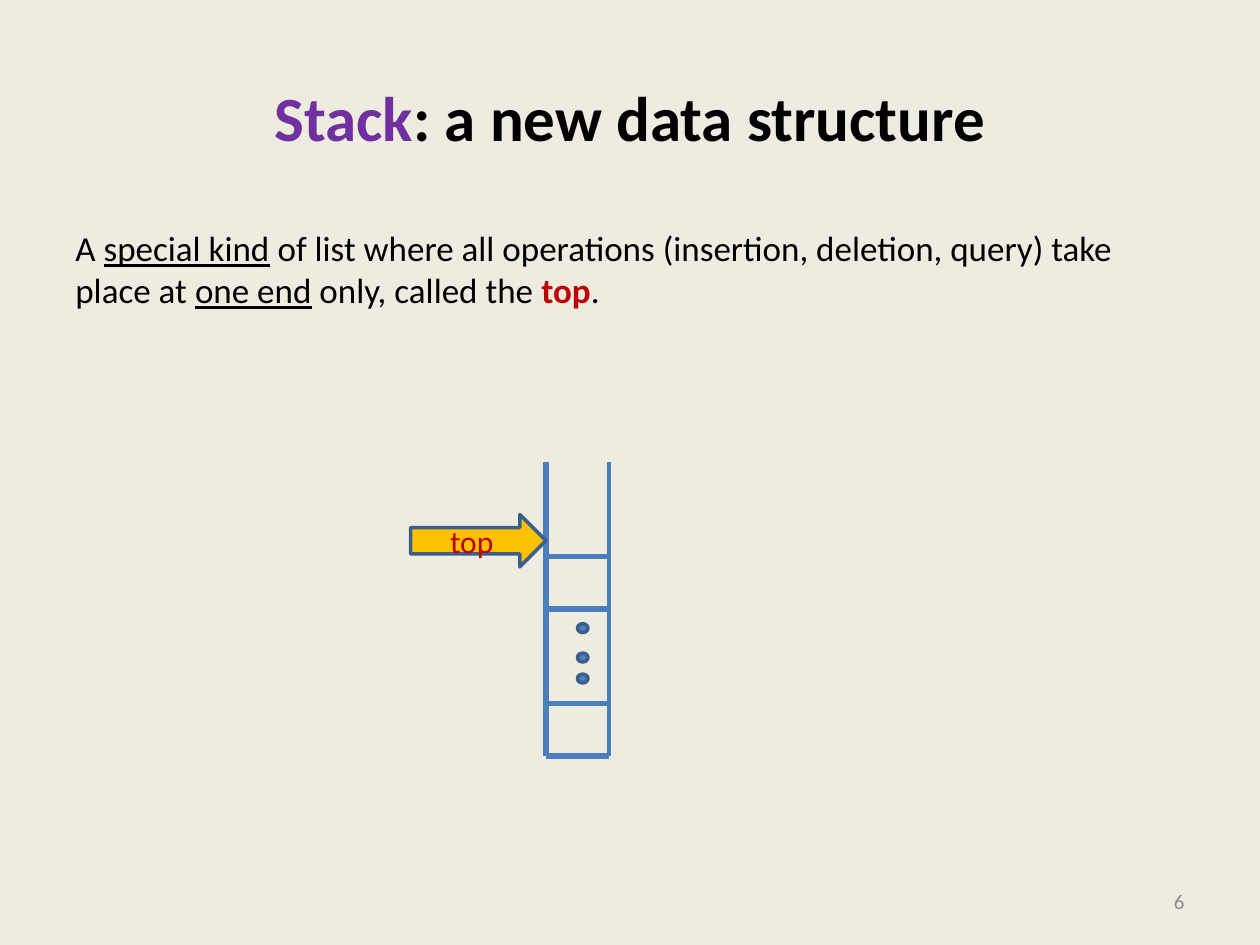
from dataclasses import dataclass
from typing import Any, NamedTuple

from lxml.etree import SubElement
from pptx import Presentation
from pptx.dml.color import RGBColor
from pptx.enum.shapes import MSO_CONNECTOR, MSO_SHAPE
from pptx.enum.text import MSO_ANCHOR, PP_ALIGN
from pptx.oxml.ns import qn
from pptx.util import Inches, Length, Pt


@dataclass(frozen=True)
class Theme:
    font: str = "Calibri"
    back: str = "EEECE1"
    ink: str = "000000"
    violet: str = "7030A0"
    red: str = "C00000"
    gray: str = "8C8C8C"
    rail: str = "4B7EBC"
    dot: str = "4F81BD"
    edge: str = "3A5F8C"
    gold: str = "FFC000"
    title: int = 36
    body: int = 20
    label: int = 18
    note: int = 12


class Run(NamedTuple):
    text: str
    color: str = ""
    bold: bool = False
    under: bool = False


class Box(NamedTuple):
    col: float
    row: float
    cols: float
    rows: float


class Bar(NamedTuple):
    col: float
    row: float
    to_col: float
    to_row: float
    width: float = 3


THEME = Theme()
CELL = 1 / 12  # the grid has 120 columns and 90 rows

LEFT, RIGHT, TOP, BASE = 52, 58, 44, 72
BARS = [
    Bar(LEFT, TOP, LEFT, BASE),
    Bar(RIGHT, TOP, RIGHT, BASE, 2.25),
    *(Bar(LEFT, row, RIGHT, row) for row in (BASE, 67, 53, 58)),
]
DOTS = [Box(55, row, 1, 0.85) for row in (59.4, 62.2, 64.2)]
ARROW = Box(39.1, 49, 12.9, 5)


def grid(count: float) -> Length:
    return Inches(count * CELL)


def place(shape: Any, box: Box) -> None:
    shape.left, shape.top, shape.width, shape.height = map(grid, box)


def write(shape: Any, *runs: Run, size: int, color: str = THEME.ink,
          align: Any = PP_ALIGN.LEFT, anchor: Any = MSO_ANCHOR.MIDDLE) -> None:
    frame = shape.text_frame
    frame.word_wrap = True
    frame.vertical_anchor = anchor
    para = frame.paragraphs[0]
    para.alignment = align
    for part in runs:
        run = para.add_run()
        run.text = part.text
        font = run.font
        font.name, font.size = THEME.font, Pt(size)
        font.bold, font.underline = part.bold, part.under
        font.color.rgb = RGBColor.from_string(part.color or color)


def add_text(shapes: Any, box: Box, *runs: Run, **style: Any) -> None:
    write(shapes.add_textbox(*map(grid, box)), *runs, **style)


def add_bar(shapes: Any, bar: Bar) -> None:
    line = shapes.add_connector(MSO_CONNECTOR.STRAIGHT, *map(grid, bar[:4]))
    line.line.color.rgb = RGBColor.from_string(THEME.rail)
    line.line.width = Pt(bar.width)
    SubElement(line._element.spPr, qn("a:effectLst"))


def add_form(shapes: Any, kind: Any, box: Box, fill: str) -> Any:
    form = shapes.add_shape(kind, *map(grid, box))
    form.shadow.inherit = False
    form.fill.solid()
    form.fill.fore_color.rgb = RGBColor.from_string(fill)
    form.line.color.rgb = RGBColor.from_string(THEME.edge)
    form.line.width = Pt(2)
    return form


def main() -> None:
    deck = Presentation()
    deck.slide_width, deck.slide_height = grid(120), grid(90)
    slide = deck.slides.add_slide(deck.slide_layouts[5])
    slide.background.fill.solid()
    slide.background.fill.fore_color.rgb = RGBColor.from_string(THEME.back)
    shapes = slide.shapes

    place(shapes.title, Box(6, 3.6, 108, 15))
    write(shapes.title, Run("Stack", THEME.violet, bold=True),
          Run(": a new data structure", bold=True),
          size=THEME.title, align=PP_ALIGN.CENTER)

    add_text(shapes, Box(6, 21, 108, 59.4),
             Run("A "), Run("special kind", under=True),
             Run(" of list where all operations (insertion, deletion, query)"
                 " take place at "),
             Run("one end", under=True), Run(" only, called the "),
             Run("top", THEME.red, bold=True), Run("."),
             size=THEME.body, anchor=MSO_ANCHOR.TOP)
    add_text(shapes, Box(86, 83.4, 28, 4.8), Run("6"),
             size=THEME.note, color=THEME.gray, align=PP_ALIGN.RIGHT)

    stack = shapes.add_group_shape().shapes
    for bar in BARS:
        add_bar(stack, bar)
    for dot in DOTS:
        add_form(stack, MSO_SHAPE.OVAL, dot, THEME.dot)

    arrow = add_form(shapes, MSO_SHAPE.RIGHT_ARROW, ARROW, THEME.gold)
    write(arrow, Run("top"), size=THEME.label, color=THEME.red,
          align=PP_ALIGN.CENTER)

    deck.save("out.pptx")


if __name__ == "__main__":
    main()
